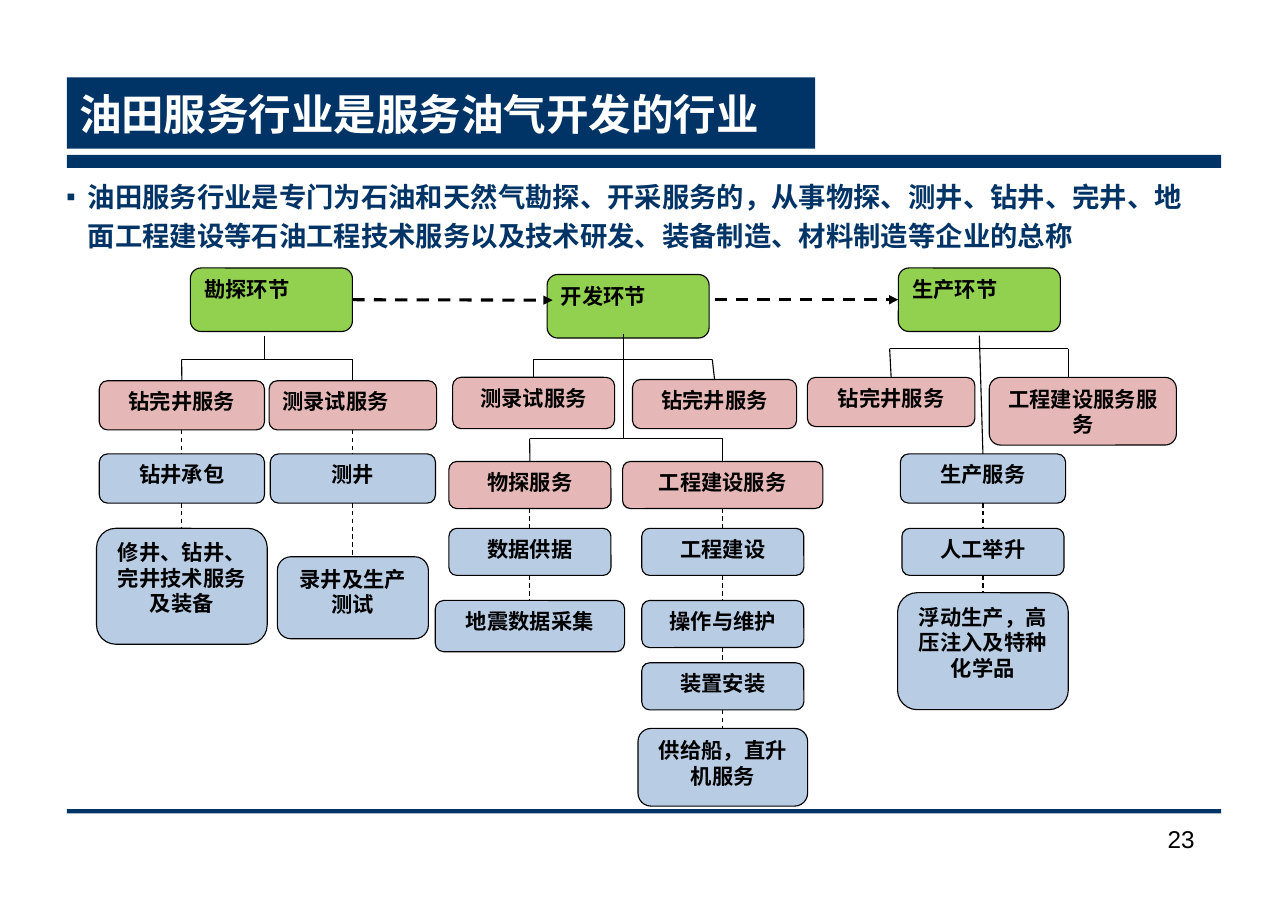
import pptx
import pptx.util
import pptx.dml.color
import pptx.enum.dml
import pptx.enum.shapes
import pptx.enum.text
import pptx.oxml
import pptx.oxml.ns

Pt = pptx.util.Pt
SHAPE = pptx.enum.shapes.MSO_SHAPE
ALIGN = pptx.enum.text.PP_ALIGN
ANCHOR = pptx.enum.text.MSO_ANCHOR

NAVY, BLACK, WHITE = "003366", "000000", "FFFFFF"
GREEN, PINK, BLUE = "92D050", "E5B8B7", "B8CCE4"
TOP, LEFT, BOTTOM, RIGHT = range(4)

# Stage offsets are measured from the stage's left and top.
# Head: text, x, y. Trunk: x, start y, end y. Bus: y, left x, right x, two column indexes.
# Column: centre x and its nodes (text, fill, y, width, height, alignment if not centred).
STAGES = [
    dict(
        left=63, top=176, head=("勘探环节", 62.3, 0.4), trunk=(111.2, 45, 60.6),
        buses=[(60.6, 56.5, 169.2, 0, 1)],
        columns=[
            (56.7, [("钻完井服务", PINK, 74.6, 108.7, 32.4),
                    ("钻井承包", BLUE, 122.8, 108.7, 32.4),
                    ("修井、钻井、完井技术服务及装备", BLUE, 171.8, 112.3, 76.3)]),
            (169.2, [("测录试服务", PINK, 74.6, 110.2, 32.4, ALIGN.LEFT),
                     ("测井", BLUE, 122.8, 108.7, 32.4),
                     ("录井及生产测试", BLUE, 190.5, 99.4, 54)]),
        ]),
    dict(
        left=287, top=176, head=("开发环节", 73, 4.7), trunk=(123.4, 43.6, 112.7),
        buses=[(60.6, 64.1, 181.7, 0, 1), (112.7, 61.5, 188.6, 2, 3)],
        columns=[
            (64.1, [("测录试服务", PINK, 72.4, 106.6, 33.8)]),
            (183.2, [("钻完井服务", PINK, 73.8, 108, 32.4)]),
            (61.7, [("物探服务", PINK, 127.8, 106.6, 31),
                    ("数据供据", BLUE, 171.8, 106.6, 31),
                    ("地震数据采集", BLUE, 219.3, 124.6, 33.8)]),
            (188.6, [("工程建设服务", PINK, 127.8, 131.8, 31),
                     ("工程建设", BLUE, 171.8, 106.6, 31),
                     ("操作与维护", BLUE, 219.3, 106.6, 31),
                     ("装置安装", BLUE, 260.3, 106.6, 31),
                     ("供给船，直升机服务", BLUE, 303.5, 111.6, 51.1)]),
        ]),
    dict(
        left=531, top=176, head=("生产环节", 60.1, 0.4), trunk=(113.4, 45, 122.8),
        trunk_column=2, buses=[(53.5, 54.4, 172, 0, 1)],
        columns=[
            (55.4, [("钻完井服务", PINK, 72.4, 110.2, 32.4)]),
            (181.5, [("工程建设服务服务", PINK, 72.4, 123.1, 44.6)]),
            (115.8, [("生产服务", BLUE, 122.8, 108.7, 32.4),
                     ("人工举升", BLUE, 171.8, 106.6, 31),
                     ("浮动生产，高压注入及特种化学品", BLUE, 214.2, 112.3, 77)]),
        ]),
]


def rgb(color):
    return pptx.dml.color.RGBColor.from_string(color)


def paint(sp, fill):
    sp.fill.solid()
    sp.fill.fore_color.rgb = rgb(fill)


def place(sp, x, y, w, h):
    sp.left, sp.top, sp.width, sp.height = Pt(x), Pt(y), Pt(w), Pt(h)


def write(sp, text, size, font, color, bold=True, align=ALIGN.LEFT,
          anchor=ANCHOR.TOP, inset=(7.2, 3.6)):
    tf = sp.text_frame
    tf.word_wrap = True
    tf.auto_size = pptx.enum.text.MSO_AUTO_SIZE.NONE
    tf.vertical_anchor = anchor
    tf.margin_left = tf.margin_right = Pt(inset[0])
    tf.margin_top = tf.margin_bottom = Pt(inset[1])
    p = tf.paragraphs[0]
    p.alignment = align
    r = p.add_run()
    r.text = text
    r.font.size, r.font.name, r.font.bold = Pt(size), font, bold
    r.font.color.rgb = rgb(color)
    return p


def add_bar(slide, x, y, w, h):
    sp = slide.shapes.add_shape(SHAPE.RECTANGLE, Pt(x), Pt(y), Pt(w), Pt(h))
    sp.shadow.inherit = False
    paint(sp, NAVY)
    sp.line.fill.background()


def add_node(slide, text, fill, x, y, w, h, align=ALIGN.CENTER,
             kind=SHAPE.FLOWCHART_ALTERNATE_PROCESS):
    sp = slide.shapes.add_shape(kind, Pt(x), Pt(y), Pt(w), Pt(h))
    sp.shadow.inherit = False
    paint(sp, fill)
    sp.line.color.rgb = rgb(BLACK)
    sp.line.width = Pt(0.75)
    write(sp, text, 14, "Calibri", BLACK, align=align)
    return sp


def add_line(slide, start, end, width=0.75, dashed=False, arrow=False):
    """Join two ends, each an (x, y) point or a (shape, side) pair."""
    cn = slide.shapes.add_connector(pptx.enum.shapes.MSO_CONNECTOR.STRAIGHT, 0, 0, 0, 0)
    if isinstance(start[0], (int, float)):
        cn.begin_x, cn.begin_y = Pt(start[0]), Pt(start[1])
    else:
        cn.begin_connect(*start)
    if isinstance(end[0], (int, float)):
        cn.end_x, cn.end_y = Pt(end[0]), Pt(end[1])
    else:
        cn.end_connect(*end)
    cn.line.color.rgb = rgb(BLACK)
    cn.line.width = Pt(width)
    if dashed:
        cn.line.dash_style = pptx.enum.dml.MSO_LINE.DASH
    ns = pptx.oxml.ns.nsdecls("a")
    if arrow:
        ln = cn._element.spPr.find(pptx.oxml.ns.qn("a:ln"))
        ln.append(pptx.oxml.parse_xml(f'<a:tailEnd {ns} type="triangle"/>'))
    cn._element.spPr.append(pptx.oxml.parse_xml(f"<a:effectLst {ns}/>"))


def add_column(slide, centre, top, nodes):
    """Stack nodes on one centre line, join them with dashes and return the first."""
    shapes = []
    for text, fill, y, w, h, *align in nodes:
        shapes.append(add_node(slide, text, fill, centre - w / 2, top + y, w, h, *align))
    for upper, lower in zip(shapes, shapes[1:]):
        add_line(slide, (upper, BOTTOM), (lower, TOP), dashed=True)
    return shapes[0]


def add_stage(slide, left, top, head, trunk, buses, columns, trunk_column=None):
    """Draw a stage with its tree and return the head."""
    text, x, y = head
    head_sp = add_node(slide, text, GREEN, left + x, top + y, 106.6, 41.8,
                       ALIGN.LEFT, SHAPE.ROUNDED_RECTANGLE)
    firsts = [add_column(slide, left + centre, top, nodes) for centre, nodes in columns]
    x, y1, y2 = trunk
    trunk_end = (left + x, top + y2) if trunk_column is None else (firsts[trunk_column], TOP)
    add_line(slide, (left + x, top + y1), trunk_end)
    for y, x1, x2, first, last in buses:
        add_line(slide, (left + x1, top + y), (left + x2, top + y))
        for x, i in ((x1, first), (x2, last)):
            centre, nodes = columns[i]
            near = abs(x - centre) < 2
            end = (firsts[i], TOP) if near else (left + x, top + nodes[0][2])
            add_line(slide, (left + x, top + y), end)
    return head_sp


def add_title(slide, x, y, w, h):
    sp = slide.shapes.title
    place(sp, x, y, w, h)
    paint(sp, NAVY)
    write(sp, "油田服务行业是服务油气开发的行业", 28, "Arial", WHITE,
          anchor=ANCHOR.MIDDLE, inset=(8, 4))


def add_summary(slide, x, y, w, h):
    sp = slide.placeholders[1]
    place(sp, x, y, w, h)
    p = write(sp, "油田服务行业是专门为石油和天然气勘探、开采服务的，从事物探、测井、钻井、完井、"
              "地面工程建设等石油工程技术服务以及技术研发、装备制造、材料制造等企业的总称",
              18, "Arial", NAVY, inset=(8, 4))
    p.line_spacing = 1.2
    p.space_before = Pt(0)
    pPr = p._p.get_or_add_pPr()
    pPr.set("marL", str(Pt(13.7)))
    pPr.set("indent", str(Pt(-13.7)))
    ns = pptx.oxml.ns.nsdecls("a")
    for xml in (f'<a:buClr {ns}><a:srgbClr val="{NAVY}"/></a:buClr>',
                f'<a:buSzPct {ns} val="50000"/>',
                f'<a:buFont {ns} typeface="Arial"/>',
                f'<a:buChar {ns} char="■"/>'):
        pPr.append(pptx.oxml.parse_xml(xml))


def add_page_number(slide, x, y, w, h):
    sp = slide.shapes.add_textbox(Pt(x), Pt(y), Pt(w), Pt(h))
    write(sp, "23", 16, "Arial", BLACK, bold=False, align=ALIGN.RIGHT, inset=(8, 4))


def main():
    prs = pptx.Presentation()
    prs.slide_width = Pt(847.5)
    prs.slide_height = Pt(601)
    slide = prs.slides.add_slide(prs.slide_layouts[1])
    add_bar(slide, 44, 102, 759.6, 8.6)
    add_bar(slide, 44, 532.6, 759.6, 2.9)
    add_title(slide, 44, 51, 492.4, 46.8)
    add_summary(slide, 36, 110.2, 759.6, 60.5)
    exploration, development, production = [add_stage(slide, **stage) for stage in STAGES]
    add_line(slide, (exploration, RIGHT), (363.6, 197.6), 2, True, True)
    add_line(slide, (470.2, 197.3), (production, LEFT), 2, True, True)
    add_page_number(slide, 730, 538.4, 64, 41.8)
    prs.save("out.pptx")


if __name__ == "__main__":
    main()
